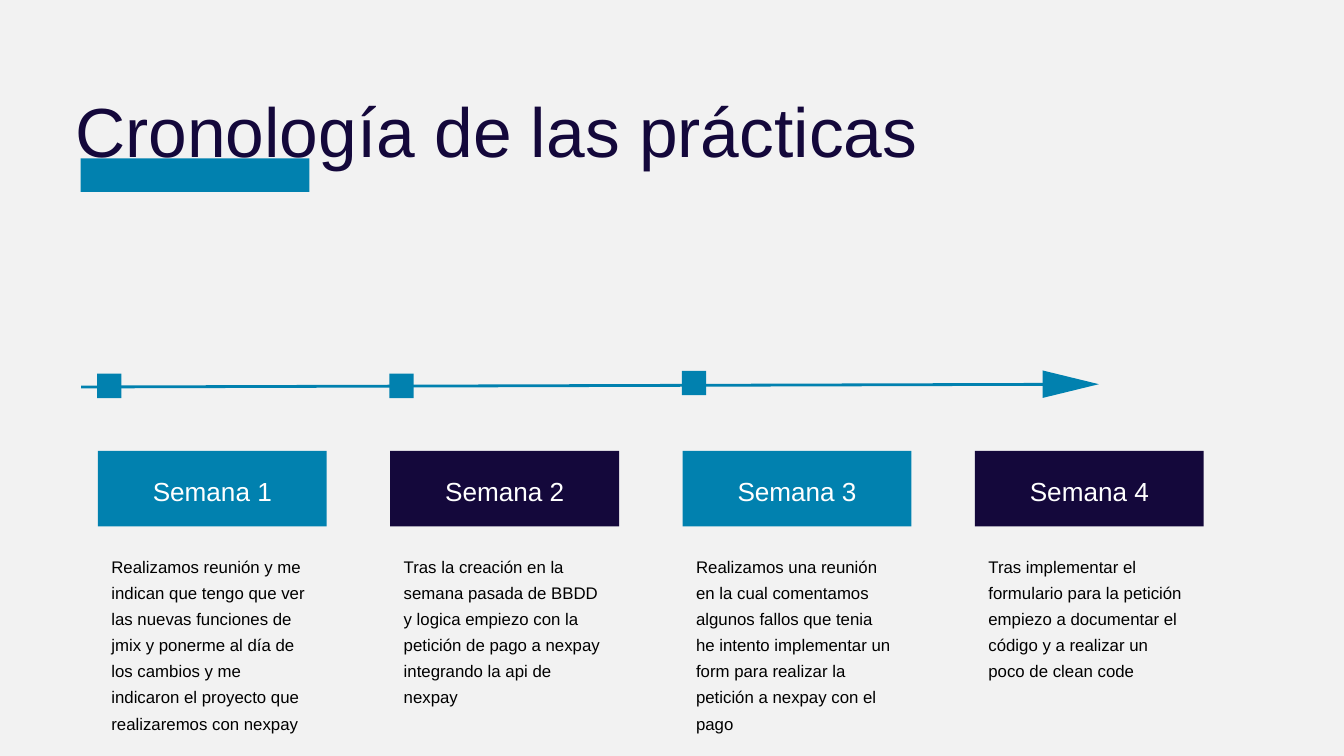
"""Builds a one-slide timeline of four weeks of work practice."""
from lxml import etree
from pptx import Presentation
from pptx import util as u
from pptx.dml.color import RGBColor
from pptx.enum import shapes, text
from pptx.oxml import ns

BLUE, NAVY, WHITE, BLACK, GREY = "0181AF", "14083B", "FFFFFF", "000000", "F2F2F2"
FONT = "Arial"
PITCH = 11.05
CARD_LEFT, CARD_WIDTH = 3.7, 8.65
MARKER_LEFT, MARKER_SIZE = 3.67, 0.92
MARKER_TOPS = [14.13, 14.13, 14.02]
WEEKS = [
    ("Semana 1", "Realizamos reunión y me indican que tengo que ver las nuevas funciones de jmix "
     "y ponerme al día de los cambios y me indicaron el proyecto que realizaremos con nexpay"),
    ("Semana 2", "Tras la creación en la semana pasada de BBDD y logica empiezo con la petición "
     "de pago a nexpay integrando la api de nexpay"),
    ("Semana 3", "Realizamos una reunión en la cual comentamos algunos fallos que tenia he intento "
     "implementar un form para realizar la petición a nexpay con el pago"),
    ("Semana 4", "Tras implementar el formulario para la petición empiezo a documentar el código "
     "y a realizar un poco de clean code"),
]


def color(value):
    return RGBColor.from_string(value)


class Timeline:
    def __init__(self, slide):
        self.slide = slide
        fill = slide.background.fill
        fill.solid()
        fill.fore_color.rgb = color(GREY)

    def label(self, shape, content, size, ink, spacing, align=text.PP_ALIGN.LEFT,
              anchor=text.MSO_ANCHOR.TOP, insets=(0, 0, 0, 0)):
        frame = shape.text_frame
        frame.text = content
        frame.word_wrap = True
        frame.auto_size = text.MSO_AUTO_SIZE.NONE
        frame.vertical_anchor = anchor
        (frame.margin_left, frame.margin_top,
         frame.margin_right, frame.margin_bottom) = map(u.Cm, insets)
        paragraph = frame.paragraphs[0]
        paragraph.alignment = align
        paragraph.line_spacing = spacing
        paragraph.space_before = u.Pt(0)
        font = paragraph.runs[0].font
        font.name, font.size, font.bold = FONT, u.Pt(size), False
        font.color.rgb = color(ink)

    def title(self, content, left, top, width, height):
        title = self.slide.shapes.title
        title.left, title.top = u.Cm(left), u.Cm(top)
        title.width, title.height = u.Cm(width), u.Cm(height)
        self.label(title, content, 74.5, NAVY, 1.06)

    def block(self, left, top, width, height, fill=BLUE, kind=shapes.MSO_SHAPE.RECTANGLE):
        shape = self.slide.shapes.add_shape(kind, u.Cm(left), u.Cm(top), u.Cm(width), u.Cm(height))
        shape.shadow.inherit = False
        shape.fill.solid()
        shape.fill.fore_color.rgb = color(fill)
        shape.line.fill.background()
        return shape

    def line(self, start, end):
        connector = self.slide.shapes.add_connector(
            shapes.MSO_CONNECTOR.STRAIGHT, *map(u.Cm, start + end))
        connector.line.color.rgb = color(BLUE)
        connector.line.width = u.Pt(3)
        etree.SubElement(connector._element.spPr, ns.qn("a:effectLst"))

    def arrowhead(self, left, top, width, height):
        head = self.block(left, top, width, height, kind=shapes.MSO_SHAPE.ISOSCELES_TRIANGLE)
        head.rotation = 90

    def week(self, left, heading, body, fill):
        card = self.block(left, 17.05, CARD_WIDTH, 2.85, fill)
        self.label(card, heading, 28, WHITE, 1.24, text.PP_ALIGN.CENTER,
                   text.MSO_ANCHOR.MIDDLE, (0.15, 0.15, 0.15, 0.25))
        box = self.slide.shapes.add_textbox(u.Cm(left + 0.51), u.Cm(20.8), u.Cm(7.5), u.Cm(5.75))
        self.label(box, body, 18, BLACK, 1.3)


def main():
    presentation = Presentation()
    presentation.slide_width, presentation.slide_height = u.Cm(50.8), u.Cm(28.58)
    timeline = Timeline(presentation.slides.add_slide(presentation.slide_layouts[5]))
    timeline.title("Cronología de las prácticas", 2.84, 3.15, 34.77, 2.84)
    timeline.block(3.05, 5.99, CARD_WIDTH, 1.27)
    for index, top in enumerate(MARKER_TOPS):
        timeline.block(MARKER_LEFT + index * PITCH, top, MARKER_SIZE, MARKER_SIZE)
    timeline.line((3.07, 14.63), (39.42, 14.53))
    timeline.arrowhead(39.95, 13.46, 1.04, 2.13)
    for index, (heading, body) in enumerate(WEEKS):
        timeline.week(CARD_LEFT + index * PITCH, heading, body, (BLUE, NAVY)[index % 2])
    presentation.save("out.pptx")


if __name__ == "__main__":
    main()
